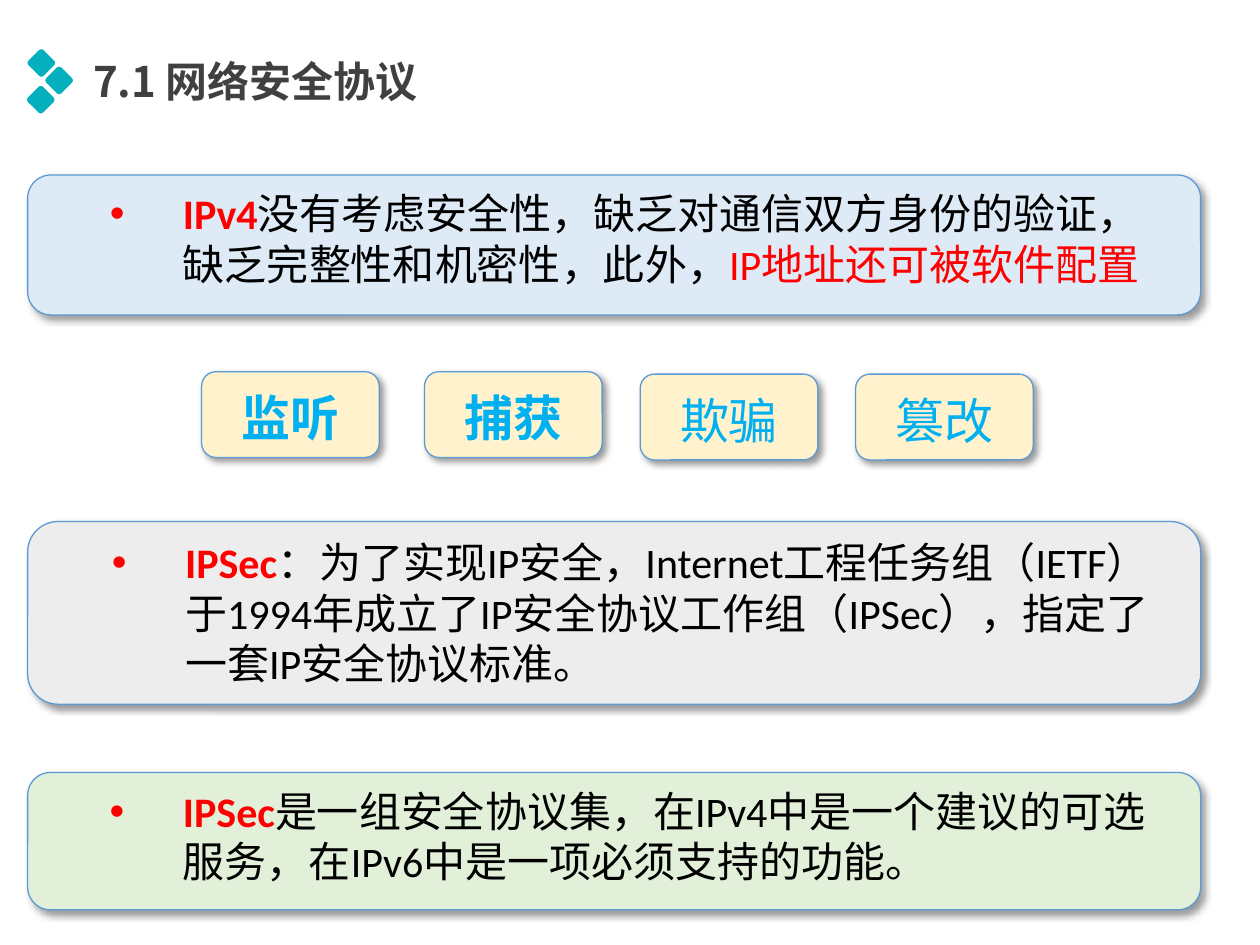
import pptx
import pptx.util
import pptx.dml.color
import pptx.enum.shapes
import pptx.enum.text
import pptx.oxml
import pptx.oxml.ns

Pt = pptx.util.Pt
ROUND = pptx.enum.shapes.MSO_SHAPE.ROUNDED_RECTANGLE
ALIGN = pptx.enum.text.PP_ALIGN
NS = pptx.oxml.ns.nsdecls("a")
RED, BLACK, BLUE = "FF0000", "000000", "00B0F0"
SHADOW = (
    f'<a:effectLst {NS}><a:outerShdw blurRad="50800" dist="38100" dir="2700000" '
    'algn="tl" rotWithShape="0"><a:srgbClr val="000000"><a:alpha val="40000"/>'
    '</a:srgbClr></a:outerShdw></a:effectLst>'
)


def color(code):
    return pptx.dml.color.RGBColor.from_string(code)


def write(para, text, size=24, tint=BLACK, bold=False, face="Calibri"):
    run = para.add_run()
    run.text = text
    run.font.size = Pt(size)
    run.font.bold = bold
    run.font.name = face
    run.font.color.rgb = color(tint)
    east = pptx.oxml.parse_xml(f'<a:ea {NS} typeface="Noto Sans CJK SC"/>')
    run.font._element.find(pptx.oxml.ns.qn("a:latin")).addnext(east)


deck = pptx.Presentation()
deck.slide_width, deck.slide_height = Pt(720), Pt(540)
slide = deck.slides.add_slide(deck.slide_layouts[6])
shapes = slide.shapes

side = 12.2
for x, y in [(23.6, 36), (33.8, 46), (23.3, 57)]:
    gem = shapes.add_shape(ROUND, Pt(x - side / 2), Pt(y - side / 2), Pt(side), Pt(side))
    gem.adjustments[0] = 0.15
    gem.rotation = 45
    gem.shadow.inherit = False
    gem.fill.solid()
    gem.fill.fore_color.rgb = color("04B0BE")
    gem.line.fill.background()

title = shapes.add_textbox(Pt(48.2), Pt(28.8), Pt(218), Pt(34.6))
frame = title.text_frame
frame.margin_left = frame.margin_right = Pt(5)
frame.margin_top = frame.margin_bottom = Pt(3)
write(frame.paragraphs[0], "7.1 网络安全协议", tint="404040", bold=True, face="Noto Sans CJK SC")

panels = [
    (100, 80, "DEEBF7", [
        ("IPv4", RED, True),
        ("没有考虑安全性，缺乏对通信双方身份的验证，缺乏完整性和机密性，此外，", BLACK, False),
        ("IP地址还可被软件配置", RED, False)]),
    (298, 104.4, "EDEDED", [
        ("IPSec", RED, True),
        ("：为了实现IP安全，Internet工程任务组（IETF）于1994年成立了IP安全协议工作组"
         "（IPSec），指定了一套IP安全协议标准。", BLACK, False)]),
    (441.4, 78.5, "E2F0D9", [
        ("IPSec", RED, True),
        ("是一组安全协议集，在IPv4中是一个建议的可选服务，在IPv6中是一项必须支持的功能。",
         BLACK, False)]),
]
threats = [
    (115.2, 212.4, "监听", True),
    (242.6, 212.4, "捕获", True),
    (365.8, 213.8, "欺骗", False),
    (488.9, 213.8, "篡改", False),
]
cards = [(15.8, y, 670.3, h, fill, 24, runs) for y, h, fill, runs in panels]
cards += [(x, y, 101.5, 49, "FFF2CC", 28, [(word, BLUE, bold)]) for x, y, word, bold in threats]

for x, y, w, h, fill, size, runs in cards:
    card = shapes.add_shape(ROUND, Pt(x), Pt(y), Pt(w), Pt(h))
    card.fill.solid()
    card.fill.fore_color.rgb = color(fill)
    card.line.color.rgb = color("5B9BD5")
    card.line.width = Pt(0.75)
    card._element.spPr.append(pptx.oxml.parse_xml(SHADOW))
    frame = card.text_frame
    frame.word_wrap = True
    frame.vertical_anchor = pptx.enum.text.MSO_ANCHOR.TOP
    para = frame.paragraphs[0]
    if size == 24:
        para.alignment = ALIGN.LEFT
        props = para._p.get_or_add_pPr()
        props.set("marL", str(Pt(77.8)))
        props.set("indent", str(Pt(-41.8)))
        props.append(pptx.oxml.parse_xml(f'<a:buFont {NS} typeface="Arial"/>'))
        props.append(pptx.oxml.parse_xml(f'<a:buChar {NS} char="•"/>'))
    else:
        para.alignment = ALIGN.CENTER
        para.line_spacing = 1.1
    for text, tint, bold in runs:
        write(para, text, size=size, tint=tint, bold=bold)

deck.save("out.pptx")
